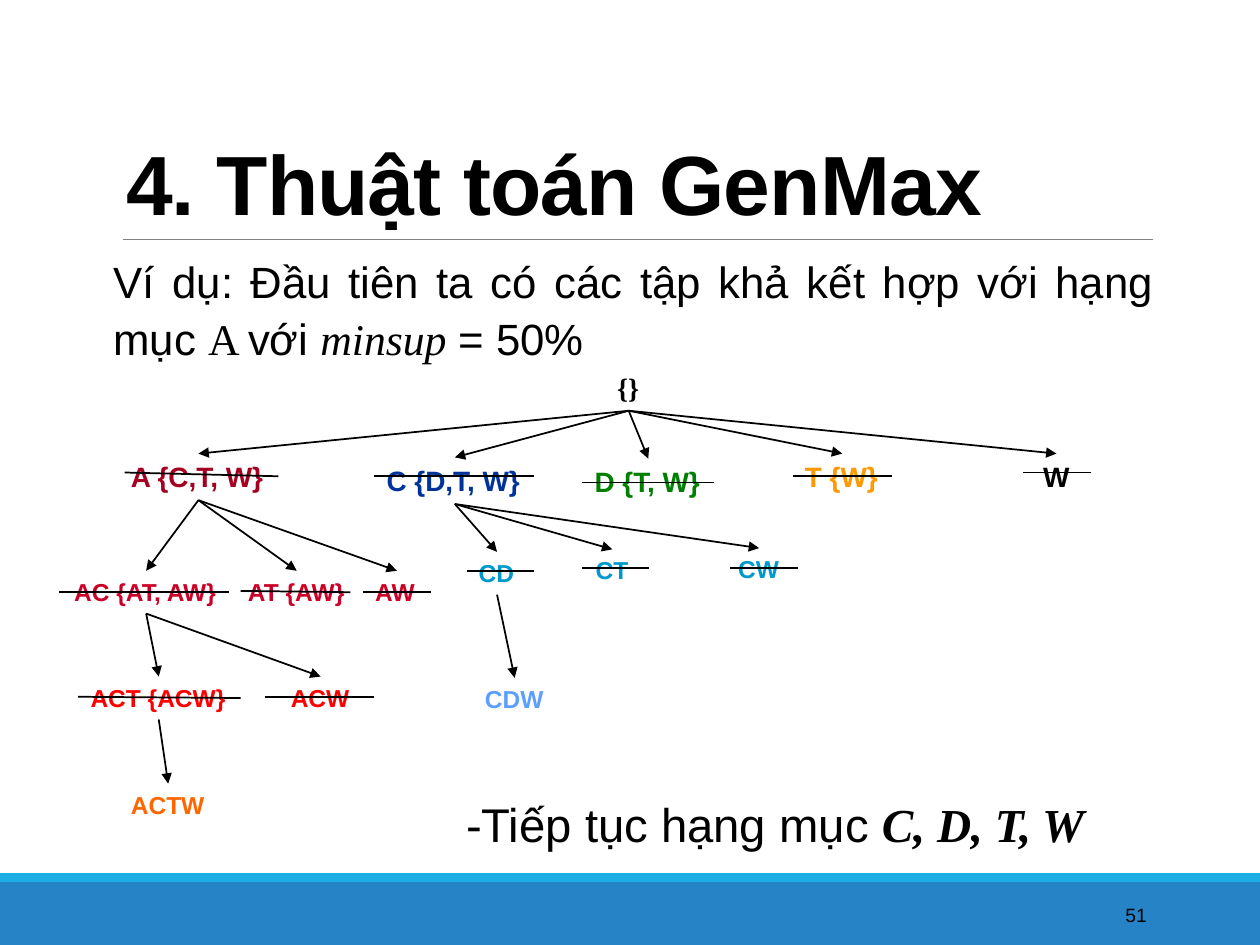
from lxml import etree
from pptx import Presentation, util as u
from pptx.dml.color import RGBColor
from pptx.enum import shapes, text
from pptx.oxml.ns import qn

SANS, SERIF = "Arial", "Times New Roman"
BLACK = "000000"

# name: (label, left, top, width, height, size, colour, font)
NODES = {
    "root": ("{}", 4.8, 2.89, 0.38, 0.37, 16, BLACK, SERIF),
    "A": ("A {C,T, W}", 0.94, 3.6, 1.27, 0.37, 16, "A50021", SANS),
    "C": ("C {D,T, W}", 2.97, 3.63, 1.28, 0.37, 16, "003399", SANS),
    "D": ("D {T, W}", 4.62, 3.64, 1.05, 0.37, 16, "008000", SANS),
    "T": ("T {W}", 6.29, 3.6, 0.79, 0.37, 16, "FF9900", SANS),
    "W": ("W", 8.18, 3.6, 0.41, 0.37, 16, BLACK, SANS),
    "AC": ("AC {AT, AW}", 0.49, 4.53, 1.34, 0.34, 14, "CC0027", SANS),
    "AT": ("AT {AW}", 1.87, 4.53, 0.97, 0.34, 14, "CC0027", SANS),
    "AW": ("AW", 2.88, 4.53, 0.54, 0.34, 14, "CC0027", SANS),
    "CD": ("CD", 3.7, 4.38, 0.49, 0.34, 14, "0099CC", SANS),
    "CT": ("CT", 4.63, 4.36, 0.46, 0.34, 14, "0099CC", SANS),
    "CW": ("CW", 5.76, 4.35, 0.53, 0.34, 14, "0099CC", SANS),
    "ACT": ("ACT {ACW}", 0.62, 5.37, 1.28, 0.34, 14, "FF0000", SANS),
    "ACW": ("ACW", 2.21, 5.37, 0.67, 0.34, 14, "FF0000", SANS),
    "CDW": ("CDW", 3.75, 5.38, 0.67, 0.34, 14, "5D9FFF", SANS),
    "ACTW": ("ACTW", 0.94, 6.22, 0.79, 0.34, 14, "FF6600", SANS),
}

CHILDREN = {
    "root": ["A", "C", "D", "T", "W"],
    "A": ["AC", "AT", "AW"],
    "C": ["CD", "CT", "CW"],
    "AC": ["ACT", "ACW"],
    "ACT": ["ACTW"],
    "CD": ["CDW"],
}

# Lines crossing out the visited nodes: (x1, y1, x2, y2)
STRIKES = [
    (0.99, 3.75, 2.21, 3.78), (2.97, 3.78, 4.24, 3.78),
    (4.62, 3.83, 5.67, 3.83), (6.29, 3.78, 7.08, 3.78),
    (8.12, 3.75, 8.66, 3.75), (0.47, 4.7, 1.82, 4.7),
    (1.91, 4.69, 2.78, 4.7), (2.88, 4.7, 3.42, 4.7),
    (3.71, 4.53, 4.24, 4.53), (4.62, 4.51, 5.15, 4.51),
    (5.79, 4.51, 6.33, 4.51), (0.62, 5.53, 1.91, 5.54),
    (2.1, 5.53, 2.97, 5.53),
]


def color(value):
    return RGBColor.from_string(value)


class SlideBuilder:
    def __init__(self, slide):
        self.slide = slide

    def place(self, shape, left, top, width, height):
        shape.left, shape.top = u.Inches(left), u.Inches(top)
        shape.width, shape.height = u.Inches(width), u.Inches(height)

    def style(self, run, size, font=SANS, value=BLACK, bold=False, italic=False):
        run.font.size = u.Pt(size)
        run.font.name = font
        run.font.color.rgb = color(value)
        run.font.bold, run.font.italic = bold, italic

    def band(self, top, height, value):
        shape = self.slide.shapes.add_shape(
            shapes.MSO_SHAPE.RECTANGLE, 0, u.Inches(top), u.Inches(10), u.Inches(height))
        shape.shadow.inherit = False
        shape.fill.solid()
        shape.fill.fore_color.rgb = color(value)
        shape.line.fill.background()

    def title(self, words):
        shape = self.slide.shapes.title
        self.place(shape, 0.9, 0.31, 8.25, 1.59)
        frame = shape.text_frame
        frame.text = words
        frame.auto_size = text.MSO_AUTO_SIZE.NONE
        frame.vertical_anchor = text.MSO_ANCHOR.BOTTOM
        paragraph = frame.paragraphs[0]
        paragraph.alignment = text.PP_ALIGN.LEFT
        paragraph.line_spacing = 0.85
        run = paragraph.runs[0]
        self.style(run, 48, bold=True)
        run.font._element.set("spc", "-50")

    def text_box(self, left, top, width, height):
        shape = self.slide.shapes.add_textbox(
            u.Inches(left), u.Inches(top), u.Inches(width), u.Inches(height))
        shape.text_frame.word_wrap = True
        return shape

    def body(self, box, size, parts):
        """Add a justified paragraph of (words, font, bold, italic) parts."""
        frame = self.text_box(*box).text_frame
        frame.margin_left = frame.margin_right = 0
        paragraph = frame.paragraphs[0]
        paragraph.alignment = text.PP_ALIGN.JUSTIFY
        paragraph.line_spacing = 1.1
        for words, font, bold, italic in parts:
            run = paragraph.add_run()
            run.text = words
            self.style(run, size, font, bold=bold, italic=italic)

    def page_number(self, number):
        frame = self.text_box(8.12, 7.06, 1.08, 0.4).text_frame
        frame.text = number
        frame.vertical_anchor = text.MSO_ANCHOR.MIDDLE
        frame.paragraphs[0].alignment = text.PP_ALIGN.RIGHT
        self.style(frame.paragraphs[0].runs[0], 11)

    def node(self, label, left, top, width, height, size, value, font):
        shape = self.text_box(left, top, width, height)
        frame = shape.text_frame
        frame.word_wrap = False
        frame.auto_size = text.MSO_AUTO_SIZE.SHAPE_TO_FIT_TEXT
        frame.text = label
        self.style(frame.paragraphs[0].runs[0], size, font, value, bold=True)
        return shape

    def line(self, x1=0, y1=0, x2=0, y2=0, value=BLACK, width=1):
        connector = self.slide.shapes.add_connector(
            shapes.MSO_CONNECTOR.STRAIGHT,
            u.Inches(x1), u.Inches(y1), u.Inches(x2), u.Inches(y2))
        connector.line.color.rgb = color(value)
        connector.line.width = u.Pt(width)
        etree.SubElement(connector._element.spPr, qn("a:effectLst"))
        return connector

    def arrow(self, parent, child):
        connector = self.line()
        connector.begin_connect(parent, 2)
        connector.end_connect(child, 0)
        outline = connector.line._get_or_add_ln()
        etree.SubElement(outline, qn("a:tailEnd"), type="triangle")


def main():
    presentation = Presentation()
    presentation.slide_width = u.Inches(10)
    presentation.slide_height = u.Inches(7.5)
    builder = SlideBuilder(presentation.slides.add_slide(presentation.slide_layouts[5]))

    builder.band(7, 0.5, "2683C6")
    builder.band(6.93, 0.07, "1CADE4")
    builder.line(0.98, 1.9, 9.15, 1.9, "808080", 0.5)
    builder.title("4. Thuật toán GenMax")
    builder.body((0.9, 1.93, 8.25, 1.03), 25, [
        ("Ví dụ: Đầu tiên ta có các tập khả kết hợp với hạng mục ", SANS, False, False),
        ("A ", SERIF, False, False),
        ("với ", SANS, False, False),
        ("minsup", SERIF, False, True),
        (" = 50%", SANS, False, False),
    ])
    builder.body((3.7, 6.22, 5.97, 0.62), 27, [
        ("-Tiếp tục hạng mục ", SANS, False, False),
        ("C, D, T, W", SERIF, True, True),
    ])
    builder.page_number("51")

    nodes = {name: builder.node(*details) for name, details in NODES.items()}
    for parent, children in CHILDREN.items():
        for child in children:
            builder.arrow(nodes[parent], nodes[child])
    for strike in STRIKES:
        builder.line(*strike)

    presentation.save("out.pptx")


if __name__ == "__main__":
    main()
